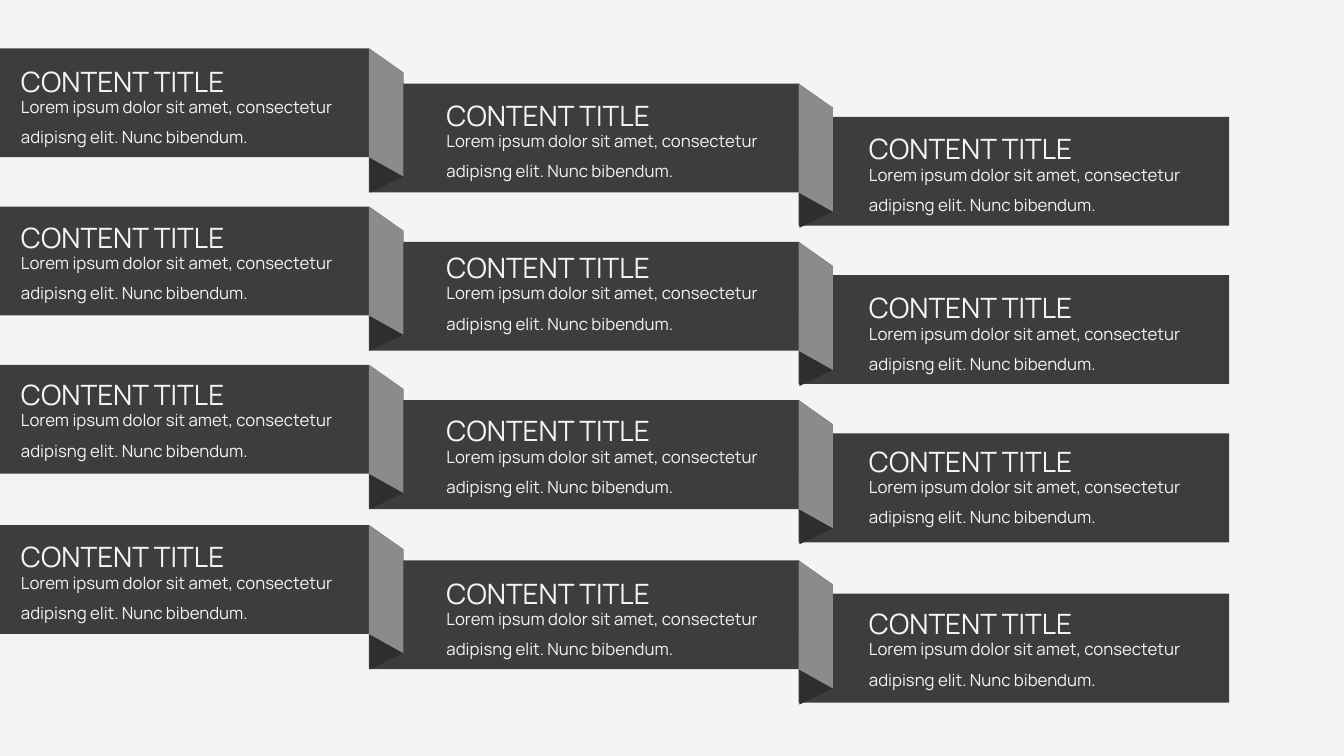
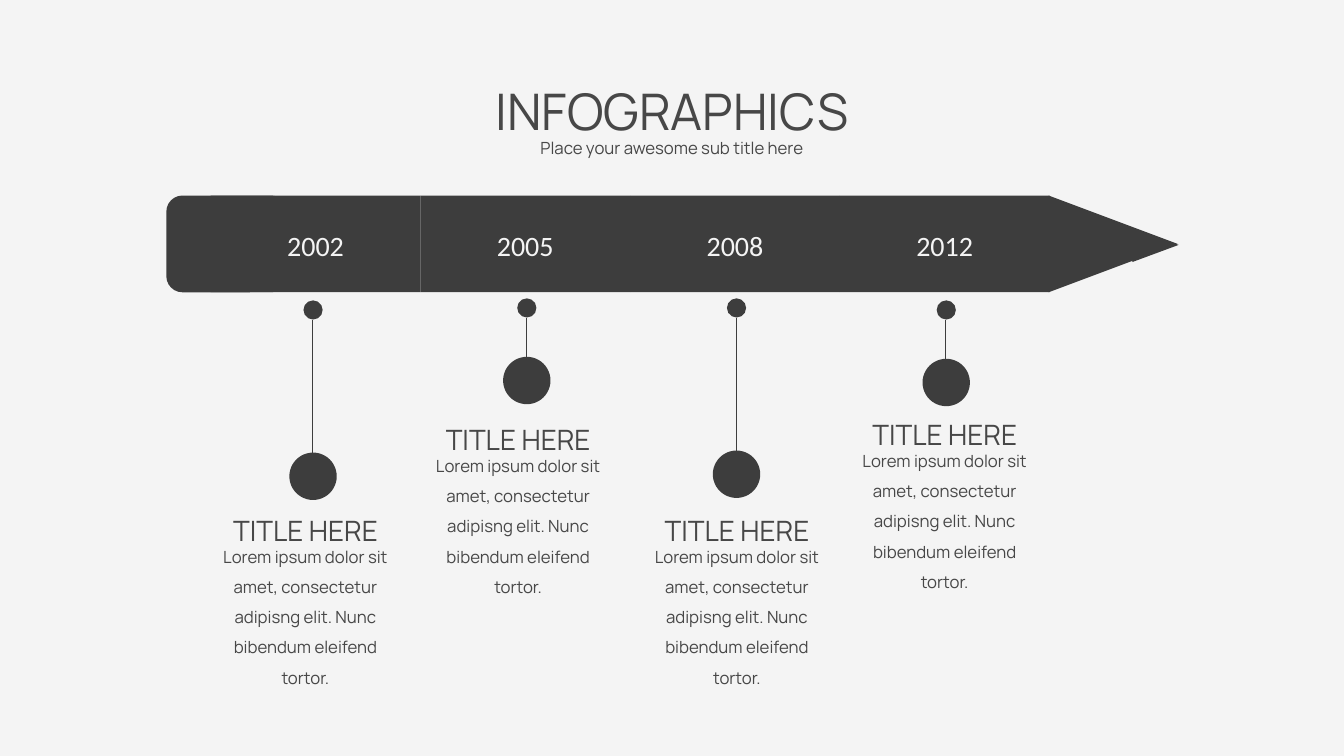
from dataclasses import dataclass

from lxml import etree
from pptx import Presentation
from pptx import util as u
from pptx.dml import color
from pptx.enum import shapes, text
from pptx.oxml import ns

PX = 9144
SHAPE = shapes.MSO_SHAPE
ALIGN = text.PP_ALIGN


@dataclass(frozen=True)
class Theme:
    paper: str = "F4F4F4"
    dark: str = "3D3D3D"
    shade: str = "2E2E2E"
    fold: str = "8B8B8B"
    ink: str = "474747"
    font: str = "Manrope"
    year_font: str = "Calibri"
    heading: int = 36
    title: int = 20
    body: int = 12
    hairline: float = 0.5


T = Theme()

BAND_BODY = "Lorem ipsum dolor sit amet, consectetur adipisng elit. Nunc bibendum."
EVENT_BODY = ("Lorem ipsum dolor sit amet, consectetur adipisng elit. "
              "Nunc bibendum eleifend tortor.")

BANDS = [(0, 0, 366), (366, 35, 427), (792, 68, 427)]
BAND_HEIGHT = 108
TEXT_LEFTS = [11, 433, 852]
ROWS = [(48, (42, 76, 109)), (205, (197, 227, 267)),
        (362, (353, 389, 419)), (521, (514, 550, 580))]
FOLD_SHADE = [(0, 0), (34, 24), (34, 127), (1, 143)]
FOLD_FACE = [(0, 0), (34, 24), (34, 127), (0, 108)]

EVENTS = [("2002", 310, 298, 449, 200, 488),
          ("2005", 522, 296, 354, 411, 398),
          ("2008", 730, 296, 447, 628, 488),
          ("2012", 938, 298, 356, 834, 393)]
ARROW_TOP, ARROW_HEIGHT = 194, 96
SEGMENT_LEFT, SEGMENT_WIDTH = 209, 208
DOT, DISC = 19, 47


def px(n):
    return u.Emu(n * PX)


def rgb(value):
    return color.RGBColor.from_string(value)


def paint(sp, fill):
    sp.shadow.inherit = False
    sp.fill.solid()
    sp.fill.fore_color.rgb = rgb(fill)
    sp.line.fill.background()


def add_block(s, kind, x, y, w, h, rotation=0):
    sp = s.shapes.add_shape(kind, px(x), px(y), px(w), px(h))
    paint(sp, T.dark)
    sp.rotation = rotation


def add_outline(s, x, y, points, fill):
    placed = [(x + dx, y + dy) for dx, dy in points]
    builder = s.shapes.build_freeform(*placed[0], scale=PX)
    builder.add_line_segments(placed[1:], close=True)
    paint(builder.convert_to_shape(), fill)


def add_stem(s, x, top, bottom):
    line = s.shapes.add_connector(
        shapes.MSO_CONNECTOR.STRAIGHT, px(x), px(bottom), px(x), px(top))
    line.line.color.rgb = rgb(T.dark)
    line.line.width = u.Pt(T.hairline)
    etree.SubElement(line._element.spPr, ns.qn("a:effectLst"))


def add_text(s, content, x, y, w, h, size=T.body, fill=T.ink,
             font=T.font, align=ALIGN.CENTER, spacing=1.5):
    tf = s.shapes.add_textbox(px(x), px(y), px(w), px(h)).text_frame
    tf.word_wrap = True
    tf.auto_size = text.MSO_AUTO_SIZE.SHAPE_TO_FIT_TEXT
    p = tf.paragraphs[0]
    p.alignment = align
    p.line_spacing = spacing
    r = p.add_run()
    r.text = content
    r.font.name = font
    r.font.size = u.Pt(size)
    r.font.color.rgb = rgb(fill)


def add_caption(s, title, body, x, y, w, body_height, fill=T.ink,
                title_align=ALIGN.CENTER, body_align=ALIGN.CENTER):
    add_text(s, body, x, y + 39, w, body_height, fill=fill, align=body_align)
    add_text(s, title, x, y, w, 61, size=T.title, fill=fill, align=title_align)


def add_ribbon(s, top):
    for x, drop, w in reversed(BANDS):
        add_block(s, SHAPE.RECTANGLE, x, top + drop, w, BAND_HEIGHT)
    for (_, drop, _), (x, _, _) in zip(BANDS, BANDS[1:]):
        add_outline(s, x, top + drop, FOLD_SHADE, T.shade)
        add_outline(s, x, top + drop, FOLD_FACE, T.fold)


def add_arrow(s):
    add_block(s, SHAPE.ROUNDED_RECTANGLE, 165, ARROW_TOP, 120, ARROW_HEIGHT)
    for i, (year, *_) in enumerate(EVENTS):
        x = SEGMENT_LEFT + i * SEGMENT_WIDTH
        add_block(s, SHAPE.RECTANGLE, x, ARROW_TOP, SEGMENT_WIDTH, ARROW_HEIGHT)
        add_text(s, year, x, 222, SEGMENT_WIDTH, 44, size=T.title,
                 fill=T.paper, font=T.year_font, spacing=1)
    add_block(s, SHAPE.ISOSCELES_TRIANGLE, 1056, 178, ARROW_HEIGHT, 128, 90)
    add_block(s, SHAPE.ISOSCELES_TRIANGLE, 1129, 220, 34, 46, 90)


def add_pin(s, center, dot_top, disc_top):
    add_block(s, SHAPE.OVAL, center - DOT // 2, dot_top, DOT, DOT)
    add_stem(s, center, dot_top + DOT, disc_top + 2)
    add_block(s, SHAPE.OVAL, center - DISC // 2, disc_top, DISC, DISC)


def build_ribbons(s):
    for top, text_tops in ROWS:
        add_ribbon(s, top)
        for x, y in zip(TEXT_LEFTS, text_tops):
            add_caption(s, "CONTENT TITLE", BAND_BODY, x, y, 342, 71,
                        fill=T.paper, title_align=ALIGN.JUSTIFY,
                        body_align=ALIGN.LEFT)


def build_timeline(s):
    add_arrow(s)
    for _, center, dot_top, disc_top, x, y in EVENTS:
        add_pin(s, center, dot_top, disc_top)
        add_caption(s, "TITLE HERE", EVENT_BODY, x, y, 206, 162)
    add_text(s, "Place your awesome sub title here", 62, 122, 1209, 31)
    add_text(s, "INFOGRAPHICS", 62, 45, 1209, 101, size=T.heading)


def main():
    prs = Presentation()
    prs.slide_width, prs.slide_height = u.Inches(13.33), u.Inches(7.5)
    backdrop = prs.slide_master.background.fill
    backdrop.solid()
    backdrop.fore_color.rgb = rgb(T.paper)
    for build in (build_ribbons, build_timeline):
        build(prs.slides.add_slide(prs.slide_layouts[6]))
    prs.save("out.pptx")


if __name__ == "__main__":
    main()
